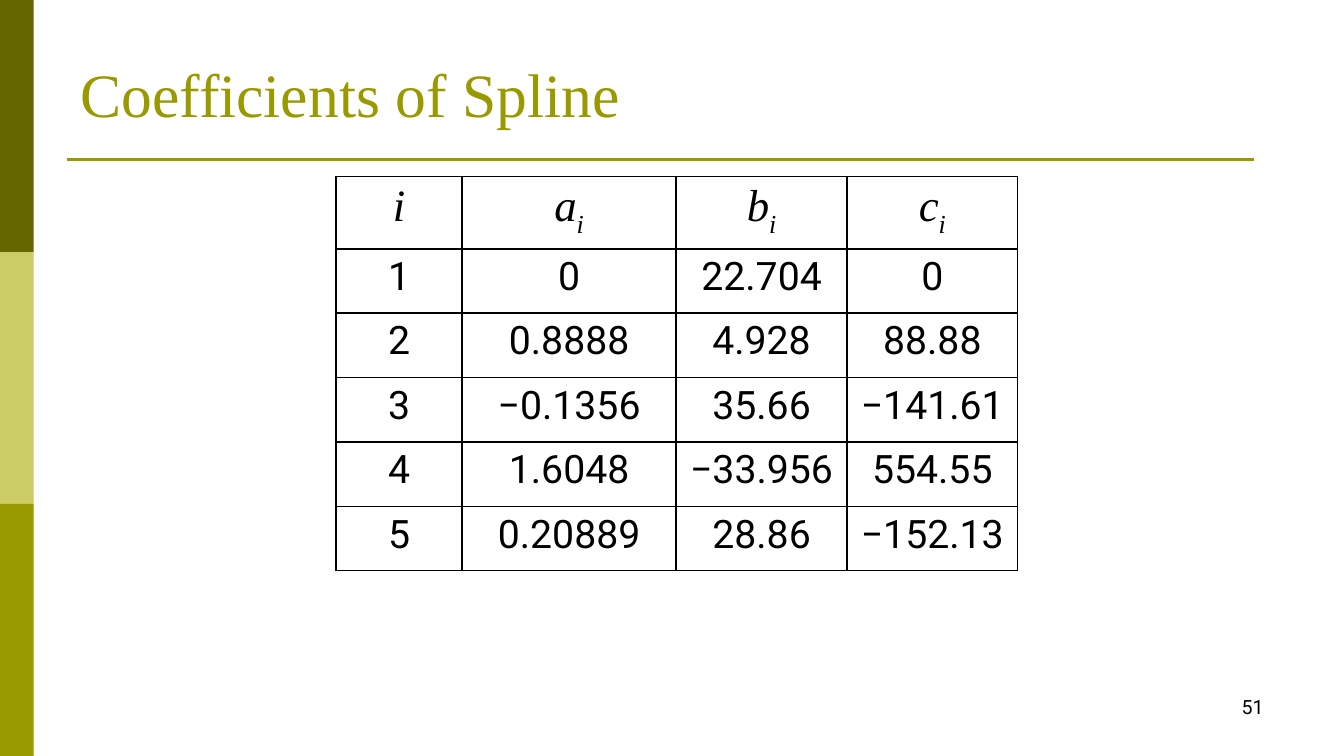
from dataclasses import dataclass

from lxml import etree
from pptx import Presentation
from pptx import util as u
from pptx.dml.color import RGBColor
from pptx.enum import shapes, text
from pptx.oxml import ns

PX = 9525  # EMU in one px, 96 px to the inch


@dataclass(frozen=True)
class Theme:
    dark: str = "666600"
    light: str = "CCCC66"
    accent: str = "999900"
    ink: str = "000000"
    serif: str = "Times New Roman"
    sans: str = "Roboto"
    title_pt: float = 33
    head_pt: float = 24
    cell_pt: float = 21
    page_pt: float = 10.5
    rule_pt: float = 1.5
    border_pt: float = 1


@dataclass(frozen=True)
class Box:
    left: int
    top: int
    width: int
    height: int

    def emu(self) -> list[int]:
        return [v * PX for v in (self.left, self.top, self.width, self.height)]


THEME = Theme()
SLIDE_W, SLIDE_H = 960, 540
BAR_W, BAR_H = 24, SLIDE_H // 3
RULE_LEFT, RULE_RIGHT, RULE_Y = 48, 896, 114
TITLE_BOX = Box(48, 22, 864, 89)
PAGE_BOX = Box(688, 492, 224, 36)
COL_WIDTHS = [90, 153, 122, 122]
ROW_H = 46
HEADERS = [("i", ""), ("a", "i"), ("b", "i"), ("c", "i")]
COEFFICIENTS = [
    ("1", "0", "22.704", "0"),
    ("2", "0.8888", "4.928", "88.88"),
    ("3", "−0.1356", "35.66", "−141.61"),
    ("4", "1.6048", "−33.956", "554.55"),
    ("5", "0.20889", "28.86", "−152.13"),
]
HEAD_FORMAT = {"name": THEME.serif, "size": u.Pt(THEME.head_pt), "italic": True, "bold": False}
CELL_FORMAT = {"name": THEME.sans, "size": u.Pt(THEME.cell_pt), "italic": False, "bold": False}
TITLE_FORMAT = {"name": THEME.serif, "size": u.Pt(THEME.title_pt)}
PAGE_FORMAT = {"name": THEME.sans, "size": u.Pt(THEME.page_pt)}


def add_run(p, content: str, formats: dict, color: str = THEME.ink, baseline: int = 0) -> None:
    r = p.add_run()
    r.text = content
    for key, value in formats.items():
        setattr(r.font, key, value)
    r.font.color.rgb = RGBColor.from_string(color)
    if baseline:
        r.font._element.set("baseline", str(baseline * 1000))


def add_bar(s, index: int, color: str) -> None:
    sp = s.shapes.add_shape(shapes.MSO_SHAPE.RECTANGLE, *Box(0, index * BAR_H, BAR_W, BAR_H).emu())
    sp.shadow.inherit = False
    sp.fill.solid()
    sp.fill.fore_color.rgb = RGBColor.from_string(color)
    sp.line.fill.background()


def add_rule(s) -> None:
    line = s.shapes.add_connector(
        shapes.MSO_CONNECTOR.STRAIGHT, RULE_LEFT * PX, RULE_Y * PX, RULE_RIGHT * PX, RULE_Y * PX
    )
    line.line.color.rgb = RGBColor.from_string(THEME.accent)
    line.line.width = u.Pt(THEME.rule_pt)
    etree.SubElement(line._element.spPr, ns.qn("a:effectLst"))


def add_title(s, content: str) -> None:
    sp = s.shapes.title
    sp.left, sp.top, sp.width, sp.height = TITLE_BOX.emu()
    tf = sp.text_frame
    tf.auto_size = text.MSO_AUTO_SIZE.NONE
    tf.vertical_anchor = text.MSO_ANCHOR.MIDDLE
    p = tf.paragraphs[0]
    p.alignment = text.PP_ALIGN.LEFT
    add_run(p, content, TITLE_FORMAT, THEME.accent)


def add_page_number(s, number: str) -> None:
    tf = s.shapes.add_textbox(*PAGE_BOX.emu()).text_frame
    tf.word_wrap = True
    p = tf.paragraphs[0]
    p.alignment = text.PP_ALIGN.RIGHT
    add_run(p, number, PAGE_FORMAT)


def style_cell(cell) -> None:
    """Give the cell a border on all sides, no fill and narrow margins."""
    tc_pr = cell._tc.get_or_add_tcPr()
    for side in ("lnL", "lnR", "lnT", "lnB"):
        ln = etree.SubElement(tc_pr, ns.qn(f"a:{side}"), w=str(u.Pt(THEME.border_pt)))
        fill = etree.SubElement(ln, ns.qn("a:solidFill"))
        etree.SubElement(fill, ns.qn("a:srgbClr"), val=THEME.ink)
    cell.fill.background()
    cell.margin_left = cell.margin_right = 7 * PX
    cell.margin_top = cell.margin_bottom = 4 * PX
    cell.text_frame.paragraphs[0].alignment = text.PP_ALIGN.CENTER


def add_coefficients(s) -> None:
    rows = len(COEFFICIENTS) + 1
    box = Box(240, 126, sum(COL_WIDTHS), rows * ROW_H)
    table = s.shapes.add_table(rows, len(COL_WIDTHS), *box.emu()).table
    table.first_row = table.horz_banding = False
    for column, width in zip(table.columns, COL_WIDTHS):
        column.width = width * PX
    for cell in table.iter_cells():
        style_cell(cell)
    for c, (symbol, subscript) in enumerate(HEADERS):
        p = table.cell(0, c).text_frame.paragraphs[0]
        add_run(p, symbol, HEAD_FORMAT)
        if subscript:
            add_run(p, subscript, HEAD_FORMAT, baseline=-25)
    for r, values in enumerate(COEFFICIENTS, 1):
        for c, value in enumerate(values):
            add_run(table.cell(r, c).text_frame.paragraphs[0], value, CELL_FORMAT)


def main() -> None:
    prs = Presentation()
    prs.slide_width, prs.slide_height = SLIDE_W * PX, SLIDE_H * PX
    s = prs.slides.add_slide(prs.slide_layouts.get_by_name("Title Only"))
    for index, color in enumerate((THEME.dark, THEME.light, THEME.accent)):
        add_bar(s, index, color)
    add_rule(s)
    add_page_number(s, "51")
    add_title(s, "Coefficients of Spline")
    add_coefficients(s)
    prs.save("out.pptx")


if __name__ == "__main__":
    main()
